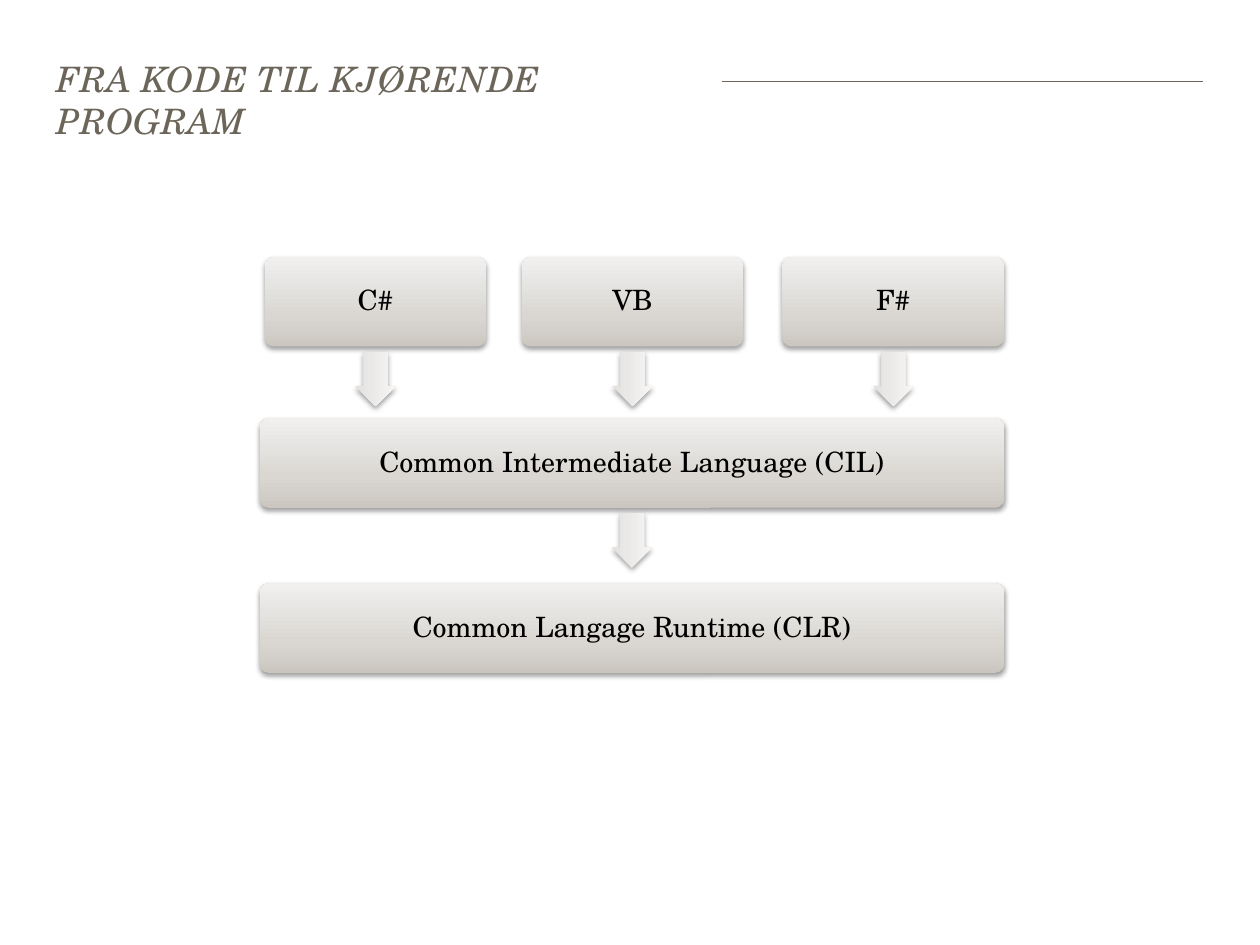
"""Builds the slide on the way from source code to a running program."""
from copy import deepcopy

from lxml import etree
from pptx import Presentation
from pptx.dml.color import RGBColor
from pptx.enum.shapes import MSO_CONNECTOR, MSO_SHAPE
from pptx.enum.text import MSO_ANCHOR, MSO_AUTO_SIZE, PP_ALIGN
from pptx.oxml import parse_xml
from pptx.oxml.ns import nsdecls, qn
from pptx.util import Inches, Pt

ROUNDED, ARROW = MSO_SHAPE.ROUNDED_RECTANGLE, MSO_SHAPE.RIGHT_ARROW
STRAIGHT = MSO_CONNECTOR.STRAIGHT
TOP, MIDDLE = MSO_ANCHOR.TOP, MSO_ANCHOR.MIDDLE
LEFT, CENTER = PP_ALIGN.LEFT, PP_ALIGN.CENTER
NO_FIT = MSO_AUTO_SIZE.NONE

WHITE = RGBColor(0xFF, 0xFF, 0xFF)
BLACK = RGBColor(0, 0, 0)
TAUPE = RGBColor(0x6C, 0x65, 0x59)
BOX_SHADES = (RGBColor(0xCB, 0xC7, 0xC0), RGBColor(0xDA, 0xD7, 0xD3), RGBColor(0xF1, 0xF0, 0xEE))
ARROW_SHADES = (RGBColor(0xE2, 0xE0, 0xDC), RGBColor(0xEA, 0xE8, 0xE6), RGBColor(0xF7, 0xF6, 0xF5))
SHADE_POSITIONS = (0, 0.35, 1)

FONT = "TeX Gyre Schola"
TITLE_FONT = {"name": FONT, "size": Pt(20), "italic": True, "bold": False}
BOX_FONT = {"name": FONT, "size": Pt(16)}
SHADOW = (
    f'<a:outerShdw {nsdecls("a")} blurRad="{Pt(3.1)}" dist="{Pt(1.6)}" dir="5400000" '
    'rotWithShape="0"><a:srgbClr val="000000"><a:alpha val="38000"/></a:srgbClr></a:outerShdw>'
)

BOX_HEIGHT, BOX_WIDTH, WIDE_LEFT, WIDE_WIDTH = 0.71, 1.76, 2.06, 5.91
ARROW_LENGTH, ARROW_WIDTH = 0.43, 0.32
LANGUAGES = (("C#", 2.1), ("VB", 4.14), ("F#", 6.21))
LANGUAGE_TOP, CIL_TOP, CLR_TOP = 2.04, 3.32, 4.63


class ProgramSlide:
    """Holds the style and the slide being drawn."""

    def __init__(self, deck):
        self.slide = deck.slides.add_slide(deck.slide_layouts[5])

    def label(self, shape, text, color, font, align, anchor, margins):
        frame = shape.text_frame
        frame.text = text
        frame.word_wrap = True
        frame.auto_size = NO_FIT
        frame.vertical_anchor = anchor
        frame.margin_left = frame.margin_right = Inches(margins[0])
        frame.margin_top = frame.margin_bottom = Inches(margins[1])
        paragraph = frame.paragraphs[0]
        paragraph.alignment = align
        run = paragraph.runs[0]
        for attribute, value in font.items():
            setattr(run.font, attribute, value)
        run.font.color.rgb = color
        return run

    def title(self, text, left, top, width, height):
        heading = self.slide.shapes.title
        heading.left, heading.top = Inches(left), Inches(top)
        heading.width, heading.height = Inches(width), Inches(height)
        heading.fill.solid()
        heading.fill.fore_color.rgb = WHITE
        run = self.label(heading, text, TAUPE, TITLE_FONT, LEFT, TOP, (0.1, 0))
        run._r.get_or_add_rPr().set("spc", "20")

    def rule(self, left, right, y):
        line = self.slide.shapes.add_connector(
            STRAIGHT, Inches(left), Inches(y), Inches(right), Inches(y))
        line.line.color.rgb = TAUPE
        line.line.width = Pt(0.5)
        etree.SubElement(line.element.spPr, qn("a:effectLst"))
        self.slide.shapes.title.element.addprevious(line.element)

    def shaded(self, kind, left, top, width, height, adjustments, shades):
        shape = self.slide.shapes.add_shape(
            kind, Inches(left), Inches(top), Inches(width), Inches(height))
        for index, value in enumerate(adjustments):
            shape.adjustments[index] = value
        shape.fill.gradient()
        shape.fill.gradient_angle = 90
        first = next(shape.element.spPr.iter(qn("a:gs")))
        first.addnext(deepcopy(first))
        for stop, position, color in zip(shape.fill.gradient_stops, SHADE_POSITIONS, shades):
            stop.position = position
            stop.color.rgb = color
        shape.line.fill.background()
        shape.shadow.inherit = False
        shape.element.spPr.find(qn("a:effectLst")).append(parse_xml(SHADOW))
        return shape

    def box(self, text, left, top, width):
        box = self.shaded(ROUNDED, left, top, width, BOX_HEIGHT, (0.1,), BOX_SHADES)
        self.label(box, text, BLACK, BOX_FONT, CENTER, MIDDLE, (0.09, 0.09))
        box.text_frame.paragraphs[0].line_spacing = 0.9

    def down_arrow(self, center, box_top):
        middle = box_top + BOX_HEIGHT + 0.26
        arrow = self.shaded(ARROW, center - ARROW_LENGTH / 2, middle - ARROW_WIDTH / 2,
                            ARROW_LENGTH, ARROW_WIDTH, (0.6, 0.5), ARROW_SHADES)
        arrow.rotation = 90


def main():
    deck = Presentation()
    deck.slide_width, deck.slide_height = Inches(10), Inches(7.5)
    page = ProgramSlide(deck)
    page.title("FRA KODE TIL KJØRENDE PROGRAM", 0.35, 0.46, 5.38, 0.34)
    page.rule(0.46, 9.55, 0.65)
    for language, left in LANGUAGES:
        page.box(language, left, LANGUAGE_TOP, BOX_WIDTH)
        page.down_arrow(left + BOX_WIDTH / 2, LANGUAGE_TOP)
    page.box("Common Intermediate Language (CIL)", WIDE_LEFT, CIL_TOP, WIDE_WIDTH)
    page.down_arrow(WIDE_LEFT + WIDE_WIDTH / 2, CIL_TOP)
    page.box("Common Langage Runtime (CLR)", WIDE_LEFT, CLR_TOP, WIDE_WIDTH)
    deck.save("out.pptx")


if __name__ == "__main__":
    main()
